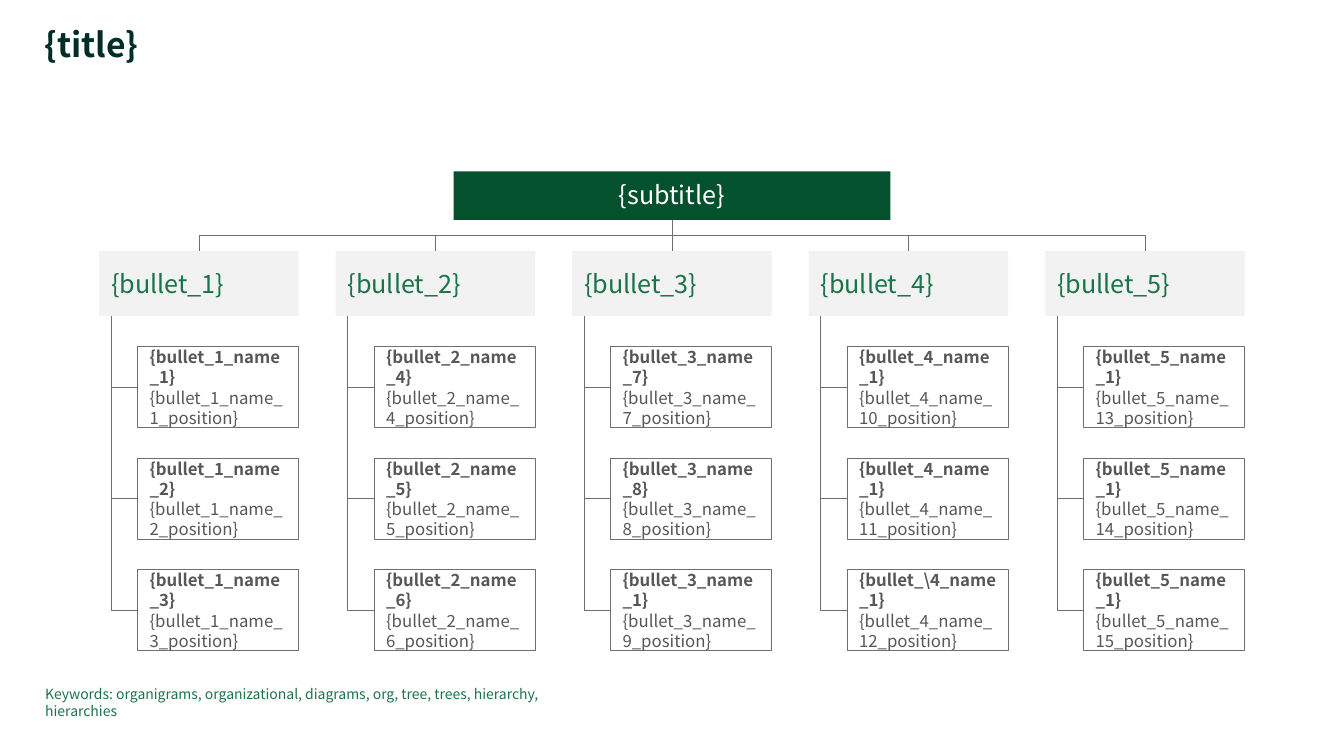
from lxml.etree import SubElement
from pptx import Presentation
from pptx.dml.color import RGBColor
from pptx.enum.shapes import MSO_CONNECTOR as LINE, MSO_SHAPE as SHAPE
from pptx.enum.text import MSO_ANCHOR as ANCHOR, PP_ALIGN as ALIGN
from pptx.oxml.ns import qn
from pptx.util import Cm, Pt

TITLE = "{title}"
SUBTITLE = "{subtitle}"
KEYWORDS = "Keywords: organigrams, organizational, diagrams, org, tree, trees, hierarchy, hierarchies"
BRANCHES = [
    ("{bullet_1}", [("{bullet_1_name_1}", "{bullet_1_name_1_position}"),
                    ("{bullet_1_name_2}", "{bullet_1_name_2_position}"),
                    ("{bullet_1_name_3}", "{bullet_1_name_3_position}")]),
    ("{bullet_2}", [("{bullet_2_name_4}", "{bullet_2_name_4_position}"),
                    ("{bullet_2_name_5}", "{bullet_2_name_5_position}"),
                    ("{bullet_2_name_6}", "{bullet_2_name_6_position}")]),
    ("{bullet_3}", [("{bullet_3_name_7}", "{bullet_3_name_7_position}"),
                    ("{bullet_3_name_8}", "{bullet_3_name_8_position}"),
                    ("{bullet_3_name_1}", "{bullet_3_name_9_position}")]),
    ("{bullet_4}", [("{bullet_4_name_1}", "{bullet_4_name_10_position}"),
                    ("{bullet_4_name_1}", "{bullet_4_name_11_position}"),
                    ("{bullet_\\4_name_1}", "{bullet_4_name_12_position}")]),
    ("{bullet_5}", [("{bullet_5_name_1}", "{bullet_5_name_13_position}"),
                    ("{bullet_5_name_1}", "{bullet_5_name_14_position}"),
                    ("{bullet_5_name_1}", "{bullet_5_name_15_position}")]),
]
FONT = "Noto Sans CJK JP"
INK, GREEN, DARK_GREEN = "002D28", "1A7449", "03522D"
GREY, LIGHT, TEXT, WHITE = "6E6F73", "F2F2F2", "575757", "FFFFFF"

ROOT_X, ROOT_Y, ROOT_W, ROOT_H = 11.43, 4.32, 11.01, 1.22
HEAD_X, HEAD_Y, HEAD_W, HEAD_H = 2.5, 6.32, 5.03, 1.64
PERSON_Y, PERSON_W, PERSON_H = 8.74, 4.06, 2.04
COLUMN_STEP, ROW_STEP, SPINE_INSET = 5.96, 2.81, 0.3


def rgb(value):
    return RGBColor.from_string(value)


def style(p, size, color, bold=None):
    p.font.name, p.font.size, p.font.bold = FONT, Pt(size), bold
    p.font.color.rgb = rgb(color)


def label(x, y, w, h, text, size, color, bold=None):
    tf = slide.shapes.add_textbox(Cm(x), Cm(y), Cm(w), Cm(h)).text_frame
    tf.word_wrap = True
    tf.margin_left = tf.margin_right = tf.margin_top = tf.margin_bottom = 0
    p = tf.paragraphs[0]
    p.text = text
    style(p, size, color, bold)
    return p


def box(x, y, w, h, fill, size, color, text="", border=None, align=ALIGN.LEFT):
    sp = slide.shapes.add_shape(SHAPE.RECTANGLE, Cm(x), Cm(y), Cm(w), Cm(h))
    sp.shadow.inherit = False
    sp.fill.solid()
    sp.fill.fore_color.rgb = rgb(fill)
    if border:
        sp.line.color.rgb, sp.line.width = rgb(border), Pt(0.5)
    else:
        sp.line.fill.background()
    tf = sp.text_frame
    tf.word_wrap, tf.vertical_anchor = True, ANCHOR.MIDDLE
    tf.margin_left = tf.margin_right = Cm(0.3)
    tf.margin_top = tf.margin_bottom = Cm(0.2)
    p = tf.paragraphs[0]
    p.text, p.alignment = text, align
    style(p, size, color)
    return sp


def person(x, y, name, position):
    p = box(x, y, PERSON_W, PERSON_H, WHITE, 12, TEXT, border=GREY).text_frame.paragraphs[0]
    r = p.add_run()
    r.text, r.font.bold = name, True
    p.add_line_break()
    p.add_run().text = position


def line(kind, x1, y1, x2, y2):
    cn = slide.shapes.add_connector(kind, Cm(x1), Cm(y1), Cm(x2), Cm(y2))
    cn.line.color.rgb, cn.line.width = rgb(GREY), Pt(0.5)
    SubElement(cn._element.spPr, qn("a:effectLst"))
    return cn


def elbow(x1, y1, x2, y2, preset="bentConnector3"):
    """Draw a bent connector that leaves its start downwards, by turning a flat one."""
    mid_x, mid_y = (x1 + x2) / 2, (y1 + y2) / 2
    side = 1 if x2 > x1 else -1
    half_w, half_h = side * (y2 - y1) / 2, abs(x2 - x1) / 2
    cn = line(LINE.ELBOW, mid_x + half_w, mid_y - half_h, mid_x - half_w, mid_y + half_h)
    sp_pr = cn._element.spPr
    sp_pr.find(qn("a:xfrm")).set("rot", str((270 if side > 0 else 90) * 60000))
    sp_pr.find(qn("a:prstGeom")).set("prst", preset)


prs = Presentation()
prs.slide_width, prs.slide_height = Cm(33.87), Cm(19.05)
slide = prs.slides.add_slide(prs.slide_layouts[6])

label(1.12, 0.71, 28.02, 0.94, TITLE, 24, INK, True).line_spacing = 0.9
root = box(ROOT_X, ROOT_Y, ROOT_W, ROOT_H, DARK_GREEN, 18, WHITE, SUBTITLE, align=ALIGN.CENTER)
root.text_frame.paragraphs[0].line_spacing = 0.95

for i, (heading, people) in enumerate(BRANCHES):
    x = HEAD_X + i * COLUMN_STEP
    head = box(x, HEAD_Y, HEAD_W, HEAD_H, LIGHT, 18, GREEN, heading)
    top = (ROOT_X + ROOT_W / 2, ROOT_Y + ROOT_H, x + HEAD_W / 2, HEAD_Y)
    if i == len(BRANCHES) // 2:
        stem = line(LINE.STRAIGHT, *top)
        stem.begin_connect(root, 2)
        stem.end_connect(head, 0)
    else:
        elbow(*top)
    person_x = x + HEAD_W - PERSON_W
    for j, (name, position) in enumerate(people):
        y = PERSON_Y + j * ROW_STEP
        elbow(x + SPINE_INSET, HEAD_Y + HEAD_H, person_x, y + PERSON_H / 2, "bentConnector2")
        person(person_x, y, name, position)

label(1.14, 17.27, 13.87, 0.86, KEYWORDS, 10, GREEN)
prs.save("out.pptx")
